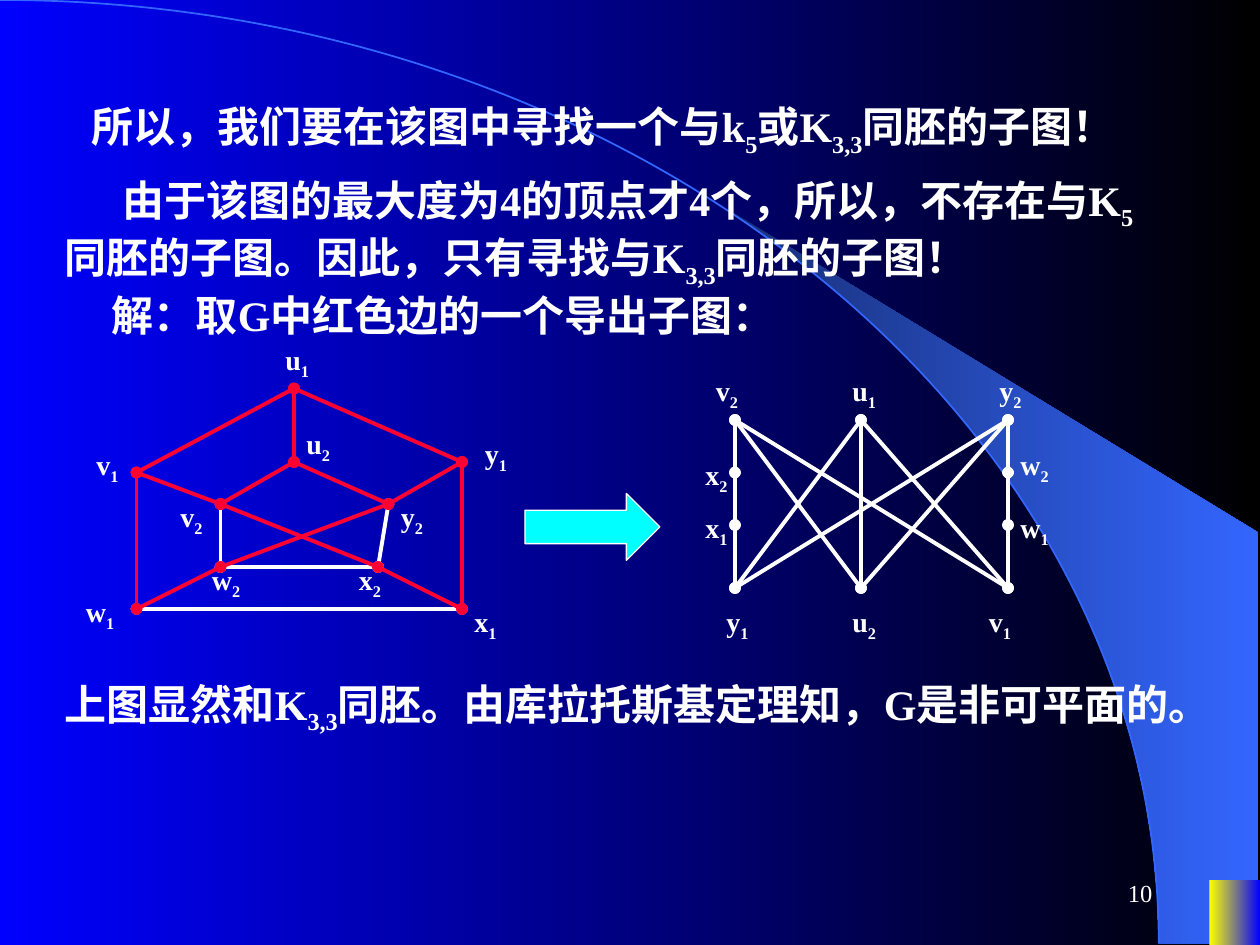
import math
from dataclasses import dataclass

import pptx
import pptx.util
from lxml import etree
from pptx.dml.color import RGBColor
from pptx.enum.shapes import MSO_CONNECTOR, MSO_SHAPE
from pptx.enum.text import MSO_ANCHOR, MSO_AUTO_SIZE, PP_ALIGN
from pptx.oxml.ns import qn
from pptx.util import Cm, Pt

WHITE = RGBColor(0xFF, 0xFF, 0xFF)
BLACK = RGBColor(0x00, 0x00, 0x00)
BLUE = RGBColor(0x00, 0x00, 0xFF)
SKY = RGBColor(0x33, 0x66, 0xFF)
NAVY = RGBColor(0x18, 0x2F, 0x76)
YELLOW = RGBColor(0xFF, 0xFF, 0x00)
RED = RGBColor(0xFF, 0x00, 0x33)
CYAN = RGBColor(0x00, 0xFF, 0xFF)

FONT = "Times New Roman"
RADIUS_X, RADIUS_Y = Cm(23.36), Cm(19.02)  # quarter ellipse of the backdrop


@dataclass(frozen=True)
class Vertex:
    x: int
    y: int
    label_x: int
    label_y: int


@dataclass(frozen=True)
class Graph:
    vertices: dict[str, Vertex]
    edges: str
    color: RGBColor
    white_edges: str = ""


@dataclass(frozen=True)
class Statement:
    text: str
    x: int
    y: int
    width: float
    height: float
    indent: float = 0


PRISM = Graph(
    vertices={
        "u1": Vertex(28, 37, 26, 32), "u2": Vertex(28, 44, 28, 40),
        "v1": Vertex(13, 45, 8, 42), "v2": Vertex(21, 48, 16, 47),
        "y1": Vertex(44, 44, 45, 41), "y2": Vertex(37, 48, 37, 47),
        "x1": Vertex(44, 58, 44, 57), "x2": Vertex(36, 54, 33, 53),
        "w1": Vertex(13, 58, 7, 56), "w2": Vertex(21, 54, 19, 53),
    },
    white_edges="w1-x1 v2-w2 w2-x2 y2-x2",
    edges="u1-v1 u1-y1 v1-w1 y1-x1 u2-v2 u2-y2 y1-y2 y2-w2 w2-w1 "
          "v1-v2 v2-x2 x2-x1 u1-u2",
    color=RED,
)
BIPARTITE = Graph(
    vertices={
        "u1": Vertex(82, 40, 80, 35), "u2": Vertex(82, 56, 80, 57),
        "v1": Vertex(96, 56, 93, 57), "v2": Vertex(70, 40, 67, 35),
        "y1": Vertex(70, 56, 68, 57), "y2": Vertex(96, 40, 94, 35),
        "x1": Vertex(70, 50, 66, 48), "x2": Vertex(70, 45, 66, 43),
        "w1": Vertex(96, 50, 96, 48), "w2": Vertex(96, 45, 96, 42),
    },
    edges="u1-u2 v2-x2 x2-x1 x1-y1 y2-w2 w2-w1 w1-v1 "
          "u1-y1 u1-v1 y2-y1 y2-u2 v2-u2 v2-v1",
    color=WHITE,
)
# Every second piece between bars is a subscript.
STATEMENTS = [
    Statement("所以，我们要在该图中寻找一个与k|5|或K|3,3|同胚的子图！",
              3, 9, 22.75, 1.42, 0.97),
    Statement("由于该图的最大度为4的顶点才4个，所以，不存在与K|5|"
              "同胚的子图。因此，只有寻找与K|3,3|同胚的子图！",
              5, 16, 22.23, 2.44, 1.16),
    Statement("解：取G中红色边的一个导出子图：", 4, 27, 22.23, 1.27, 1.16),
    Statement("上图显然和K|3,3|同胚。由库拉托斯基定理知，G是非可平面的。",
              5, 64, 23.7, 1.42),
]


def grid(steps: int) -> pptx.util.Length:
    """Length of a number of grid steps, twelve to 2.54 cm."""
    return pptx.util.Emu(Cm(2.54) * steps // 12)


def add_text(shapes, text: str, x: int, y: int, width: float, height: float, *,
             size: float = 24, bold: bool = True, align=PP_ALIGN.LEFT,
             anchor=MSO_ANCHOR.TOP, indent: float = 0, before: float = 0) -> None:
    """Place text at grid point (x, y); size of the box is in cm."""
    frame = shapes.add_textbox(grid(x), grid(y), Cm(width), Cm(height)).text_frame
    frame.word_wrap = True
    frame.auto_size = MSO_AUTO_SIZE.NONE
    frame.vertical_anchor = anchor
    paragraph = frame.paragraphs[0]
    paragraph.alignment = align
    paragraph.space_before = Pt(before)
    properties = paragraph._p.get_or_add_pPr()
    properties.set("hangingPunct", "0")
    properties.set("indent", str(Cm(indent)))
    for position, piece in enumerate(text.split("|")):
        run = paragraph.add_run()
        run.text = piece
        run.font.name = FONT
        run.font.size = Pt(size)
        run.font.bold = bold
        run.font.color.rgb = WHITE
        if position % 2:
            run._r.get_or_add_rPr().set("baseline", "-25000")


def set_gradient(fill, start: RGBColor, end: RGBColor) -> None:
    fill.gradient()
    fill.gradient_angle = 0
    for stop, color, place in zip(fill.gradient_stops, (start, end), (0, 1)):
        stop.color.rgb = color
        stop.position = place


def add_edge(shapes, start: Vertex, end: Vertex, color: RGBColor) -> None:
    edge = shapes.add_connector(MSO_CONNECTOR.STRAIGHT, grid(start.x), grid(start.y),
                                grid(end.x), grid(end.y))
    edge.line.color.rgb = color
    edge.line.width = Pt(2.25)
    outline = edge.line._get_or_add_ln()
    for tip in ("a:headEnd", "a:tailEnd"):
        etree.SubElement(outline, qn(tip), type="oval")
    etree.SubElement(edge._element.spPr, qn("a:effectLst"))


def add_graph(slide, graph: Graph) -> None:
    shapes = slide.shapes.add_group_shape().shapes
    for edges, color in ((graph.white_edges, WHITE), (graph.edges, graph.color)):
        for edge in edges.split():
            start, end = edge.split("-")
            add_edge(shapes, graph.vertices[start], graph.vertices[end], color)
    for name, vertex in graph.vertices.items():
        letter, index = name
        add_text(shapes, f"{letter}|{index}", vertex.label_x, vertex.label_y,
                 1.27 if letter == "w" else 1.09, 1.04, size=16)


def add_outline(slide, points: list[tuple[int, int]], close: bool):
    builder = slide.shapes.build_freeform(*points[0])
    builder.add_line_segments(points[1:], close=close)
    outline = builder.convert_to_shape()
    outline.shadow.inherit = False
    return outline


def bend_to_quarter_ellipse(outline) -> None:
    """Turn the only segment into one cubic curve, level first and then upright."""
    segment = next(outline._element.iter(qn("a:lnTo")))
    segment.tag = qn("a:cubicBezTo")
    pull = 0.55
    controls = [(RADIUS_X * pull, 0), (RADIUS_X, RADIUS_Y * (1 - pull))]
    for place, (x, y) in enumerate(controls):
        point = etree.Element(qn("a:pt"), x=str(int(x)), y=str(int(y)))
        segment.insert(place, point)


def add_backdrop(slide) -> None:
    """Draw the quarter ellipse, the beam to its right and the corner block."""
    set_gradient(slide.background.fill, BLUE, BLACK)
    angles = [math.radians(degree) for degree in range(39, 91, 3)]
    inner_edge = [(int(RADIUS_X * math.sin(angle)),
                   int(RADIUS_Y * (1 - math.cos(angle)))) for angle in angles]
    right = Cm(25.37)
    beam = add_outline(slide, inner_edge + [(right, RADIUS_Y), (right, Cm(10.74))], True)
    set_gradient(beam.fill, NAVY, SKY)
    beam.line.fill.background()

    curve = add_outline(slide, [(0, 0), (RADIUS_X, RADIUS_Y)], False)
    bend_to_quarter_ellipse(curve)
    curve.fill.background()
    curve.line.color.rgb = SKY
    curve.line.width = Pt(1)

    corner = slide.shapes.add_shape(MSO_SHAPE.RECTANGLE, Cm(24.38), Cm(17.74),
                                    Cm(1.02), Cm(1.31))
    corner.shadow.inherit = False
    set_gradient(corner.fill, YELLOW, BLUE)
    corner.line.fill.background()


def main() -> None:
    deck = pptx.Presentation()
    deck.slide_width, deck.slide_height = Cm(25.4), Cm(19.05)
    slide = deck.slides.add_slide(deck.slide_layouts[6])
    add_backdrop(slide)
    add_text(slide.shapes, "10", 86, 82, 5.28, 1.27, size=14, bold=False,
             align=PP_ALIGN.RIGHT, anchor=MSO_ANCHOR.MIDDLE)
    add_graph(slide, PRISM)
    for item in STATEMENTS:
        add_text(slide.shapes, item.text, item.x, item.y, item.width,
                 item.height, indent=item.indent, before=15)
    add_graph(slide, BIPARTITE)

    arrow = slide.shapes.add_shape(MSO_SHAPE.RIGHT_ARROW, grid(50), grid(47),
                                   Cm(2.72), Cm(1.35))
    arrow.shadow.inherit = False
    arrow.fill.solid()
    arrow.fill.fore_color.rgb = CYAN
    arrow.line.color.rgb = WHITE
    arrow.line.width = Pt(0.75)
    deck.save("out.pptx")


if __name__ == "__main__":
    main()
